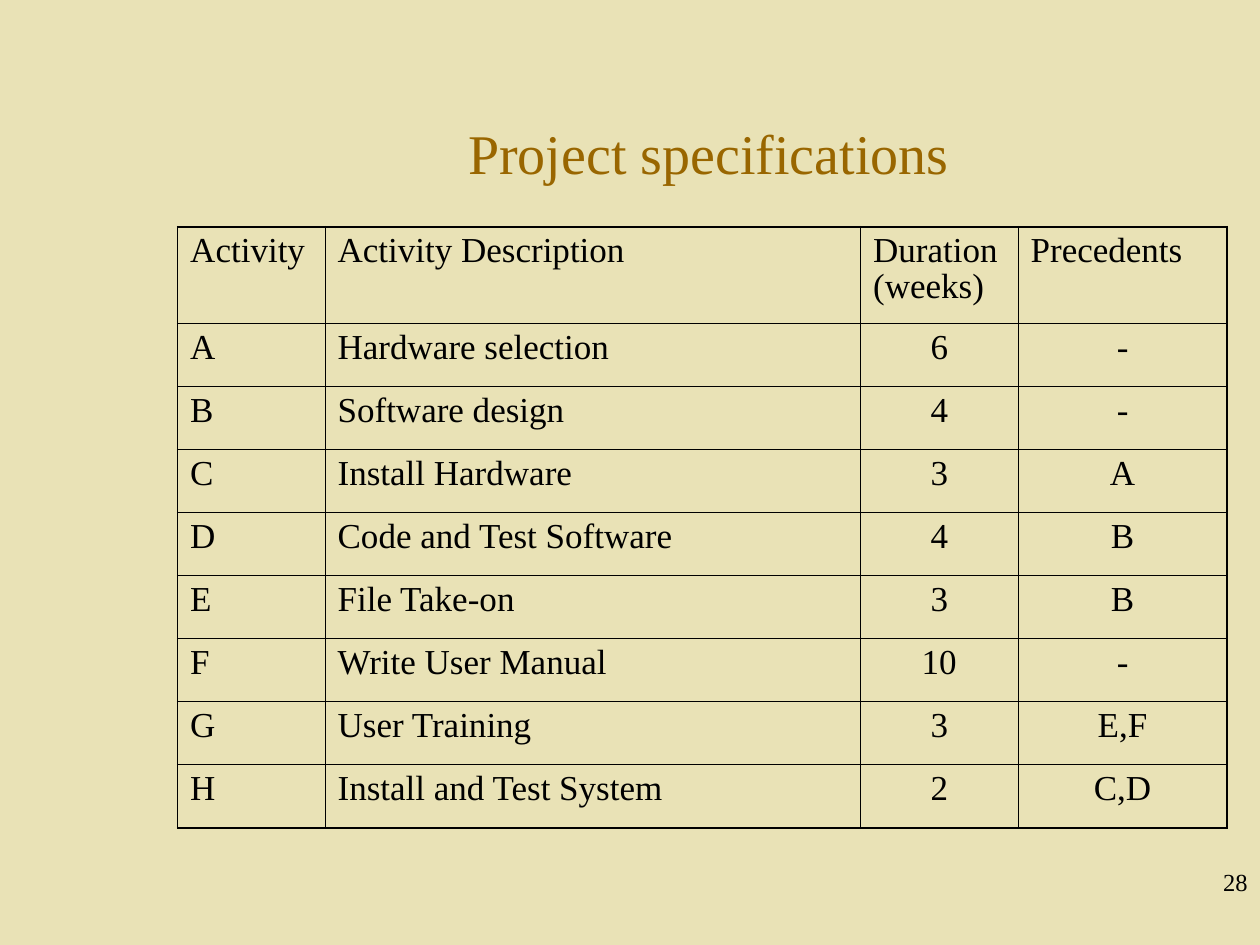
from lxml import etree
from pptx import Presentation
from pptx import util as u
from pptx.dml.color import RGBColor
from pptx.enum import text
from pptx.oxml import ns

COLORS = {"background": "E9E2B6", "title": "996600", "ink": "000000"}
FONT = "Times New Roman"
INNER, OUTER = 0.45, 1.08
COL_WIDTHS = [1.17, 4.25, 1.25, 1.66]
HEADER_HEIGHT, ROW_HEIGHT = 0.77, 0.5
ACTIVITIES = [
    ("Activity", "Activity Description", "Duration\v(weeks)", "Precedents"),
    ("A", "Hardware selection", "6", "-"),
    ("B", "Software design", "4", "-"),
    ("C", "Install Hardware", "3", "A"),
    ("D", "Code and Test Software", "4", "B"),
    ("E", "File Take-on", "3", "B"),
    ("F", "Write User Manual", "10", "-"),
    ("G", "User Training", "3", "E,F"),
    ("H", "Install and Test System", "2", "C,D"),
]


def rgb(name):
    return RGBColor.from_string(COLORS[name])


def write(tf, content, size, color, align, before=0):
    tf.text = content
    tf.word_wrap = True
    p = tf.paragraphs[0]
    p.alignment = align
    p.space_before = u.Pt(before)
    for r in p.runs:
        r.font.size = u.Pt(size)
        r.font.name = FONT
        r.font.color.rgb = rgb(color)
    return p


def set_borders(cell, widths):
    tc_pr = cell._tc.get_or_add_tcPr()
    for i, (side, width) in enumerate(widths.items()):
        ln = etree.Element(ns.qn(f"a:ln{side}"), w=str(u.Pt(width)))
        fill = etree.SubElement(ln, ns.qn("a:solidFill"))
        etree.SubElement(fill, ns.qn("a:srgbClr"), val=COLORS["ink"])
        tc_pr.insert(i, ln)


def add_title(s, left, top, width, height):
    sp = s.shapes.title
    sp.left, sp.top, sp.width, sp.height = map(u.Inches, (left, top, width, height))
    sp.text_frame.vertical_anchor = text.MSO_ANCHOR.MIDDLE
    write(sp.text_frame, "Project specifications", 32, "title", text.PP_ALIGN.CENTER)


def add_activity_table(s, left, top, width, height):
    last_row, last_col = len(ACTIVITIES) - 1, len(COL_WIDTHS) - 1
    box = map(u.Inches, (left, top, width, height))
    table = s.shapes.add_table(last_row + 1, last_col + 1, *box).table
    table.first_row = table.horz_banding = False
    for column, col_width in zip(table.columns, COL_WIDTHS):
        column.width = u.Inches(col_width)
    for i, values in enumerate(ACTIVITIES):
        table.rows[i].height = u.Inches(ROW_HEIGHT if i else HEADER_HEIGHT)
        for j, value in enumerate(values):
            cell = table.cell(i, j)
            centered = i > 0 and j > 1
            align = text.PP_ALIGN.CENTER if centered else text.PP_ALIGN.LEFT
            p = write(cell.text_frame, value, 20, "ink", align, before=5)
            p.line_spacing = 0.93
            cell.fill.background()
            set_borders(cell, {
                "L": INNER if j else OUTER,
                "R": OUTER if j == last_col else INNER,
                "T": INNER if i else OUTER,
                "B": OUTER if i == last_row else INNER,
            })


def add_page_number(s, left, top, width, height):
    sp = s.shapes.add_textbox(*map(u.Inches, (left, top, width, height)))
    write(sp.text_frame, "28", 14, "ink", text.PP_ALIGN.RIGHT, before=8.8)


def main():
    prs = Presentation()
    prs.slide_width, prs.slide_height = u.Inches(10), u.Inches(7.5)
    s = prs.slides.add_slide(prs.slide_layouts[5])
    s.background.fill.solid()
    s.background.fill.fore_color.rgb = rgb("background")
    add_title(s, 1.5, 0.58, 8.25, 1.25)
    add_activity_table(s, 1.41, 1.8, 8.33, 4.77)
    add_page_number(s, 7.92, 6.83, 2.08, 0.5)
    prs.save("out.pptx")


if __name__ == "__main__":
    main()
